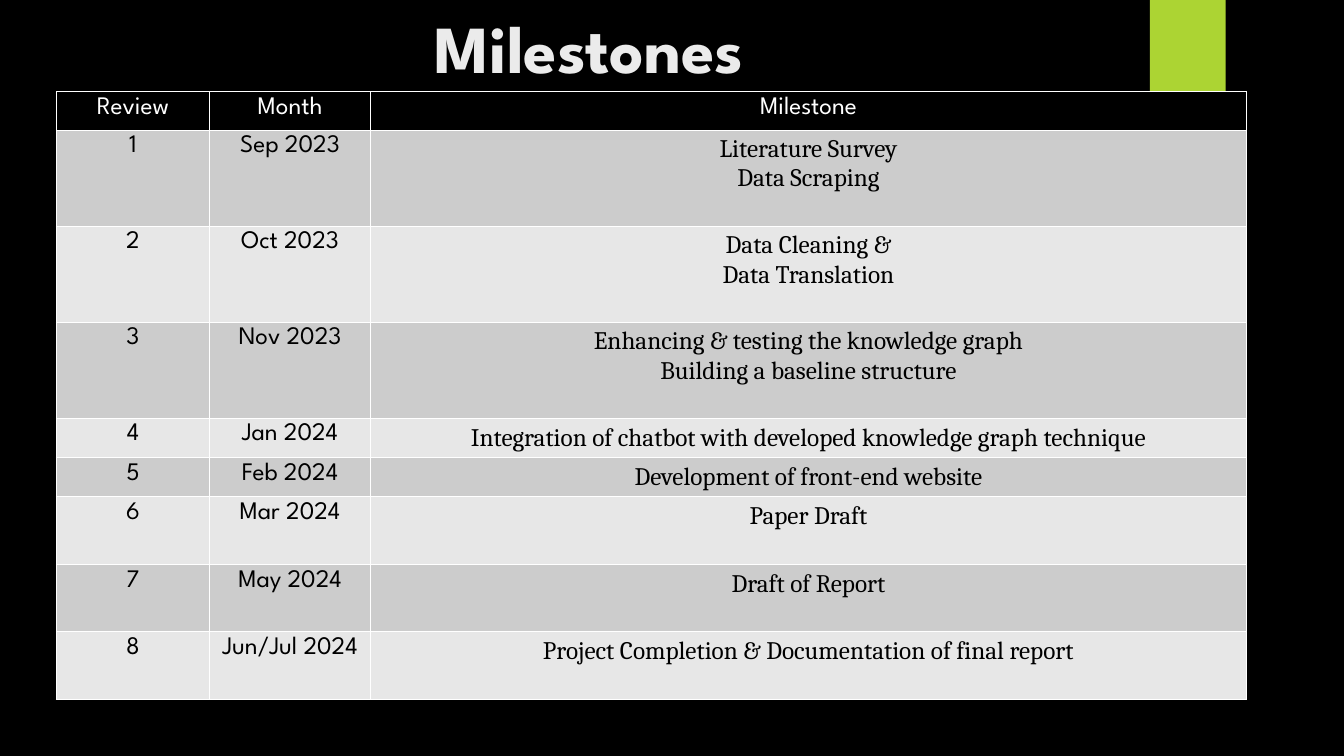
"""Build the project milestones slide."""
from pptx import Presentation
from pptx import util as u
from pptx.dml.color import RGBColor
from pptx.enum import shapes, text
from pptx.oxml import parse_xml
from pptx.oxml.ns import nsdecls

COLORS = {
    "background": "000000",
    "accent": "ACD433",
    "title": "EBEBEB",
    "border": "FFFFFF",
    "header": "000000",
    "header_text": "FFFFFF",
    "body_text": "000000",
    "odd_row": "CCCCCC",
    "even_row": "E7E7E7",
}
SPARTAN, CAMBRIA = "League Spartan", "Cambria"
HEADERS = ["Review", "Month", "Milestone"]
MILESTONES = [
    ("Sep 2023", ["Literature Survey", "Data Scraping"], 2.42),
    ("Oct 2023", ["Data Cleaning &", "Data Translation"], 2.42),
    ("Nov 2023", ["Enhancing & testing the knowledge graph",
                  "Building a baseline structure"], 2.42),
    ("Jan 2024", ["Integration of chatbot with developed knowledge graph technique"], 0.99),
    ("Feb 2024", ["Development of front-end website"], 0.99),
    ("Mar 2024", ["Paper Draft"], 1.7),
    ("May 2024", ["Draft of Report"], 1.7),
    ("Jun/Jul 2024", ["Project Completion & Documentation of final report"], 1.7),
]
HEADER_HEIGHT = 0.97
COLUMN_WIDTHS = [3.86, 4.06, 22.07]


def rgb(name):
    return RGBColor.from_string(COLORS[name])


def paint(fill, color):
    fill.solid()
    fill.fore_color.rgb = rgb(color)


def write_lines(tf, lines, font, size, color, bold=False):
    for i, line in enumerate(lines):
        p = tf.add_paragraph() if i else tf.paragraphs[0]
        p.alignment = text.PP_ALIGN.CENTER
        r = p.add_run()
        r.text = line
        r.font.name = font
        r.font.size = u.Pt(size)
        r.font.bold = bold
        r.font.color.rgb = rgb(color)


def add_title(s, title):
    sp = s.shapes.title
    sp.left, sp.top, sp.width, sp.height = (u.Cm(v) for v in (1.78, 0.03, 26.14, 3.89))
    tf = sp.text_frame
    tf.auto_size = text.MSO_AUTO_SIZE.NONE
    tf.vertical_anchor = text.MSO_ANCHOR.TOP
    tf.margin_top = u.Cm(0.13)
    write_lines(tf, [title], SPARTAN, 48, "title", True)


def add_accent_tab(s):
    sp = s.shapes.add_shape(shapes.MSO_SHAPE.RECTANGLE,
                            u.Cm(28.98), 0, u.Cm(1.91), u.Cm(3.18))
    sp.shadow.inherit = False
    paint(sp.fill, "accent")
    sp.line.fill.background()


def add_borders(cell):
    tc_pr = cell._tc.get_or_add_tcPr()
    for side in "LRTB":
        tc_pr.append(parse_xml(
            f'<a:ln{side} {nsdecls("a")} w="{u.Pt(1)}"><a:solidFill>'
            f'<a:srgbClr val="{COLORS["border"]}"/></a:solidFill></a:ln{side}>'))


def fill_cell(cell, lines, font, color, fill):
    write_lines(cell.text_frame, lines, font, 18, color)
    add_borders(cell)
    paint(cell.fill, fill)


def add_milestone_table(s):
    heights = [HEADER_HEIGHT] + [height for _, _, height in MILESTONES]
    table = s.shapes.add_table(len(heights), len(HEADERS), u.Cm(1.42), u.Cm(2.31),
                               u.Cm(sum(COLUMN_WIDTHS)), u.Cm(sum(heights))).table
    for column, width in zip(table.columns, COLUMN_WIDTHS):
        column.width = u.Cm(width)
    for row, height in zip(table.rows, heights):
        row.height = u.Cm(height)
    for col, header in enumerate(HEADERS):
        fill_cell(table.cell(0, col), [header], SPARTAN, "header_text", "header")
    for review, (month, goals, _) in enumerate(MILESTONES, 1):
        fill = "odd_row" if review % 2 else "even_row"
        contents = [([str(review)], SPARTAN), ([month], SPARTAN), (goals, CAMBRIA)]
        for col, (lines, font) in enumerate(contents):
            fill_cell(table.cell(review, col), lines, font, "body_text", fill)


def main():
    prs = Presentation()
    prs.slide_width, prs.slide_height = u.Cm(33.87), u.Cm(19.05)
    s = prs.slides.add_slide(prs.slide_layouts[5])
    paint(s.background.fill, "background")
    add_title(s, "Milestones")
    add_accent_tab(s)
    add_milestone_table(s)
    prs.save("out.pptx")


if __name__ == "__main__":
    main()
